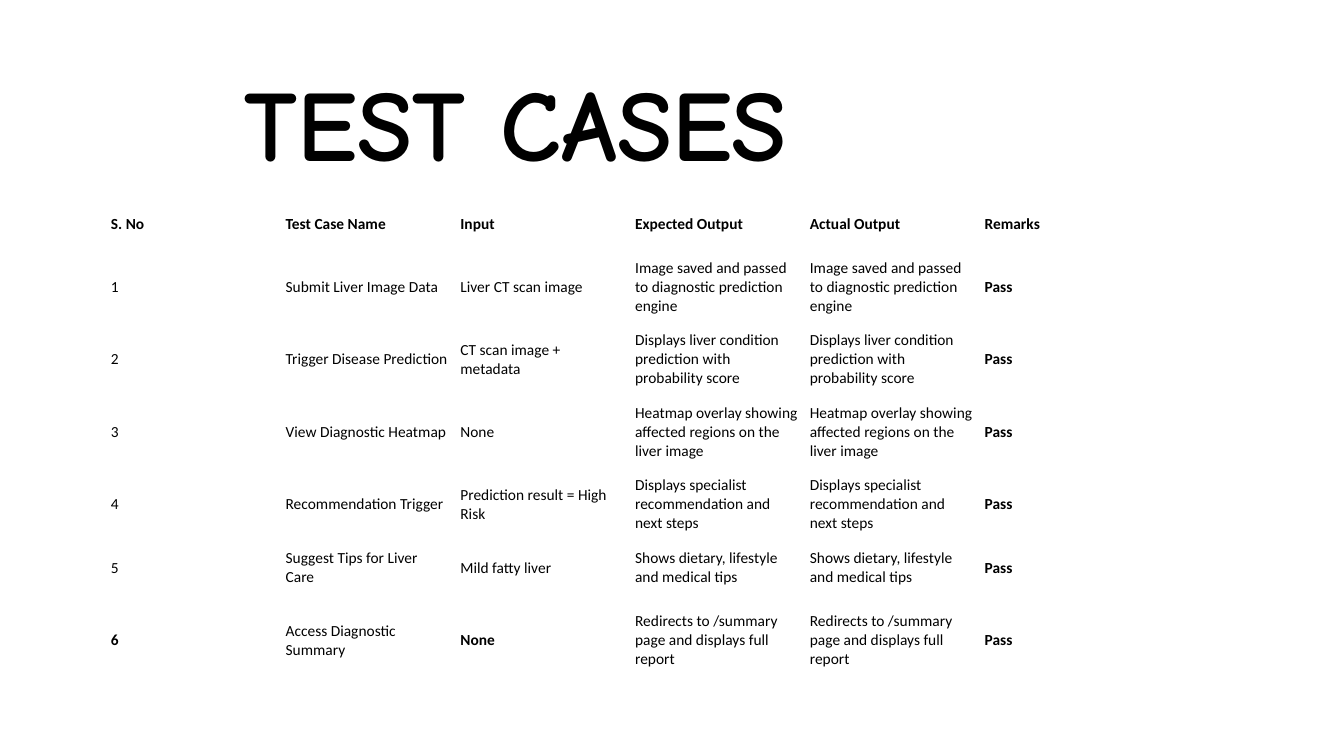
from pptx import Presentation
from pptx import util as u
from pptx.dml import color
from pptx.enum import text

HEADINGS = ["S. No", "Test Case Name", "Input", "Expected Output", "Actual Output", "Remarks"]
TEST_CASES = [
    ("Submit Liver Image Data", "Liver CT scan image",
     "Image saved and passed to diagnostic prediction engine"),
    ("Trigger Disease Prediction", "CT scan image + metadata",
     "Displays liver condition prediction with probability score"),
    ("View Diagnostic Heatmap", "None",
     "Heatmap overlay showing affected regions on the liver image"),
    ("Recommendation Trigger", "Prediction result = High Risk",
     "Displays specialist recommendation and next steps"),
    ("Suggest Tips for Liver Care", "Mild fatty liver",
     "Shows dietary, lifestyle and medical tips"),
    ("Access Diagnostic Summary", "None",
     "Redirects to /summary page and displays full report"),
]
ROW_HEIGHTS = [0.44, 0.81, 0.63, 0.81, 0.63, 0.63, 0.81]
BOLD_CELLS = {(6, 0), (6, 2)}


def rgb(value):
    return color.RGBColor.from_string(value)


def write(frame, content, size=11, font="Calibri", ink="000000", bold=False,
          align=text.PP_ALIGN.LEFT, spacing=1.0):
    frame.word_wrap = True
    paragraph = frame.paragraphs[0]
    paragraph.alignment = align
    paragraph.line_spacing = spacing
    run = paragraph.add_run()
    run.text = content
    run.font.size = u.Pt(size)
    run.font.name = font
    run.font.bold = bold
    run.font.color.rgb = rgb(ink)


class SlideBuilder:
    """Hold the slide and its style, and add each kind of element."""

    heading_font = "Comic Neue"
    background = "FFFFFF"

    def __init__(self, presentation):
        self.slide = presentation.slides.add_slide(presentation.slide_layouts[5])
        fill = self.slide.background.fill
        fill.solid()
        fill.fore_color.rgb = rgb(self.background)

    def title(self, content, left, top, width, height):
        shape = self.slide.shapes.title
        shape.left, shape.top = u.Inches(left), u.Inches(top)
        shape.width, shape.height = u.Inches(width), u.Inches(height)
        frame = shape.text_frame
        frame.auto_size = text.MSO_AUTO_SIZE.NONE
        frame.vertical_anchor = text.MSO_ANCHOR.MIDDLE
        write(frame, content, size=72, font=self.heading_font, bold=True,
              align=text.PP_ALIGN.CENTER, spacing=0.9)

    def table(self, rows, heights, left, top, width, bold_cells):
        columns = len(rows[0])
        table = self.slide.shapes.add_table(
            len(rows), columns, u.Inches(left), u.Inches(top),
            u.Inches(width), u.Inches(sum(heights))).table
        table.first_row = table.horz_banding = False
        for row, height in zip(table.rows, heights):
            row.height = u.Inches(height)
        for row_index, row in enumerate(rows):
            for column_index, content in enumerate(row):
                bold = (row_index == 0 or column_index == columns - 1
                        or (row_index, column_index) in bold_cells)
                self.cell(table.cell(row_index, column_index), content, bold)

    def cell(self, cell, content, bold):
        cell.fill.background()
        cell.vertical_anchor = text.MSO_ANCHOR.MIDDLE
        cell.margin_left = cell.margin_right = u.Inches(0.06)
        cell.margin_top = cell.margin_bottom = u.Inches(0.03)
        write(cell.text_frame, content, bold=bold)


def main():
    presentation = Presentation()
    presentation.slide_width = u.Inches(13.33)
    presentation.slide_height = u.Inches(7.5)
    builder = SlideBuilder(presentation)
    builder.title("TEST CASES", 0.7, 0.39, 8.83, 1.77)
    rows = [HEADINGS] + [
        [str(number), name, given, expected, expected, "Pass"]
        for number, (name, given, expected) in enumerate(TEST_CASES, 1)]
    builder.table(rows, ROW_HEIGHTS, 1.04, 2, 10.4, BOLD_CELLS)
    presentation.save("out.pptx")


if __name__ == "__main__":
    main()
